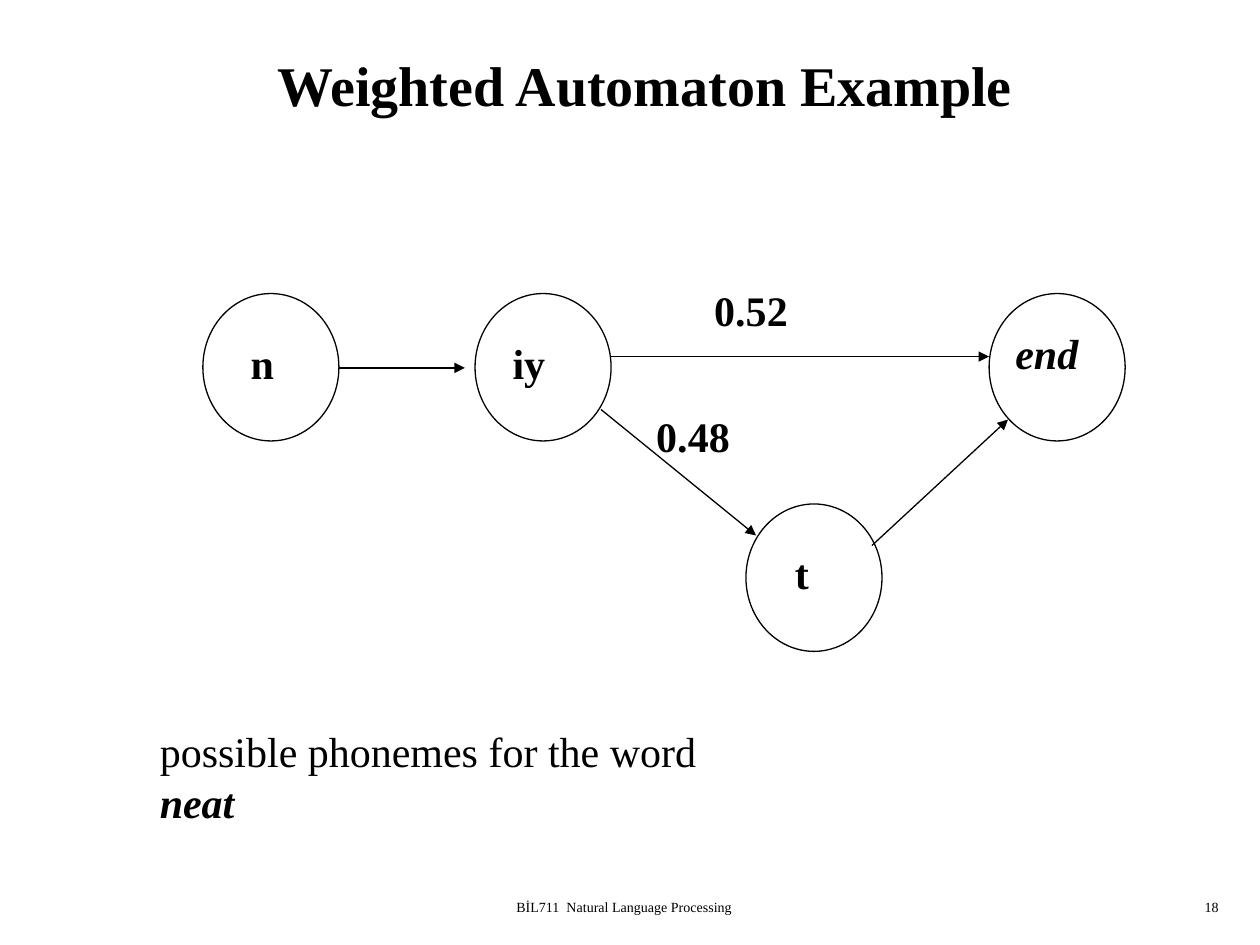
from lxml.etree import SubElement
from pptx import Presentation
from pptx.dml.color import RGBColor
from pptx.enum.shapes import MSO_CONNECTOR as CONNECTOR, MSO_SHAPE as SHAPE
from pptx.enum.text import MSO_ANCHOR as ANCHOR, MSO_AUTO_SIZE as AUTO_SIZE, PP_ALIGN as ALIGN
from pptx.oxml.ns import qn
from pptx.util import Inches, Pt

BLACK = "000000"
FONT = "Times New Roman"
STATE_W, STATE_H = 1.08, 1.17


def color(hex_string):
    return RGBColor.from_string(hex_string)


def inches(*lengths):
    return [Inches(length) for length in lengths]


def style_run(run, size, bold=False, italic=False):
    font = run.font
    font.name, font.size = FONT, Pt(size)
    font.bold, font.italic = bold, italic
    font.color.rgb = color(BLACK)


def style_line(line):
    line.color.rgb = color(BLACK)
    line.width = Pt(0.75)


def add_label(slide, box, text, size=24, bold=True, italic=False, align=ALIGN.LEFT, wrap=False):
    label = slide.shapes.add_textbox(*inches(*box))
    frame = label.text_frame
    frame.word_wrap = wrap
    frame.auto_size = AUTO_SIZE.NONE if wrap else AUTO_SIZE.SHAPE_TO_FIT_TEXT
    paragraph = frame.paragraphs[0]
    paragraph.text = text
    paragraph.alignment = align
    style_run(paragraph.runs[0], size, bold, italic)
    return paragraph


def add_title(slide, box):
    title = slide.shapes.title
    title.left, title.top, title.width, title.height = inches(*box)
    frame = title.text_frame
    frame.text = "Weighted Automaton Example"
    frame.vertical_anchor = ANCHOR.MIDDLE
    frame.paragraphs[0].alignment = ALIGN.CENTER
    style_run(frame.paragraphs[0].runs[0], 32, bold=True)


def add_state(slide, left, top):
    state = slide.shapes.add_shape(SHAPE.OVAL, *inches(left, top, STATE_W, STATE_H))
    state.shadow.inherit = False
    state.fill.background()
    style_line(state.line)


def add_transition(slide, start, end):
    arrow = slide.shapes.add_connector(CONNECTOR.STRAIGHT, *inches(*start, *end))
    style_line(arrow.line)
    properties = arrow.line._get_or_add_ln()
    SubElement(properties, qn("a:tailEnd"), type="triangle")
    SubElement(properties.getparent(), qn("a:effectLst"))


def add_automaton(slide, box):
    """Draw the automaton; all offsets are measured from the box's corner."""
    x, y, _, _ = box

    # States
    for dx, dy in [(0, 0), (2.16, 0), (6.24, 0), (4.31, 1.67)]:
        add_state(slide, x + dx, y + dy)

    # Transitions
    transitions = [
        ((1.08, 0.59), (2.08, 0.59)),
        ((3.16, 0.92), (4.39, 1.92)),
        ((3.24, 0.5), (6.24, 0.5)),
        ((5.31, 2), (6.39, 1)),
    ]
    for (x1, y1), (x2, y2) in transitions:
        add_transition(slide, (x + x1, y + y1), (x + x2, y + y2))

    # State names and transition weights
    labels = [
        ("n", 0.28, 0.3, 0.38),
        ("iy", 2.36, 0.3, 0.46),
        ("t", 4.6, 1.97, 0.31),
        ("end", 6.35, 0.22, 0.7),
        ("0.52", 3.96, -0.12, 0.78),
        ("0.48", 3.5, 0.88, 0.78),
    ]
    for text, dx, dy, width in labels:
        add_label(slide, (x + dx, y + dy, width, 0.5), text, italic=text == "end")


def add_caption(slide, box):
    caption = add_label(slide, box, "possible phonemes for the word ", bold=False)
    word = caption.add_run()
    word.text = "neat"
    style_run(word, 24, bold=True, italic=True)


def add_footer(slide, box):
    left, top, width, height = box
    number_w = 2.08
    add_label(slide, (left, top, 3.75, height), "BİL711  Natural Language Processing",
              size=8, bold=False, align=ALIGN.CENTER, wrap=True)
    add_label(slide, (left + width - number_w, top, number_w, height), "18",
              size=8, bold=False, align=ALIGN.RIGHT, wrap=True)


def main():
    presentation = Presentation()
    presentation.slide_width, presentation.slide_height = inches(10, 7.5)
    slide = presentation.slides.add_slide(presentation.slide_layouts[5])

    add_footer(slide, (3.08, 7.08, 6.69, 0.25))
    add_title(slide, (0.39, 0.17, 9.46, 1))
    add_automaton(slide, (1.61, 2.33, 7.32, 2.84))
    add_caption(slide, (1.17, 5.71, 5.13, 0.5))

    presentation.save("out.pptx")


if __name__ == "__main__":
    main()
